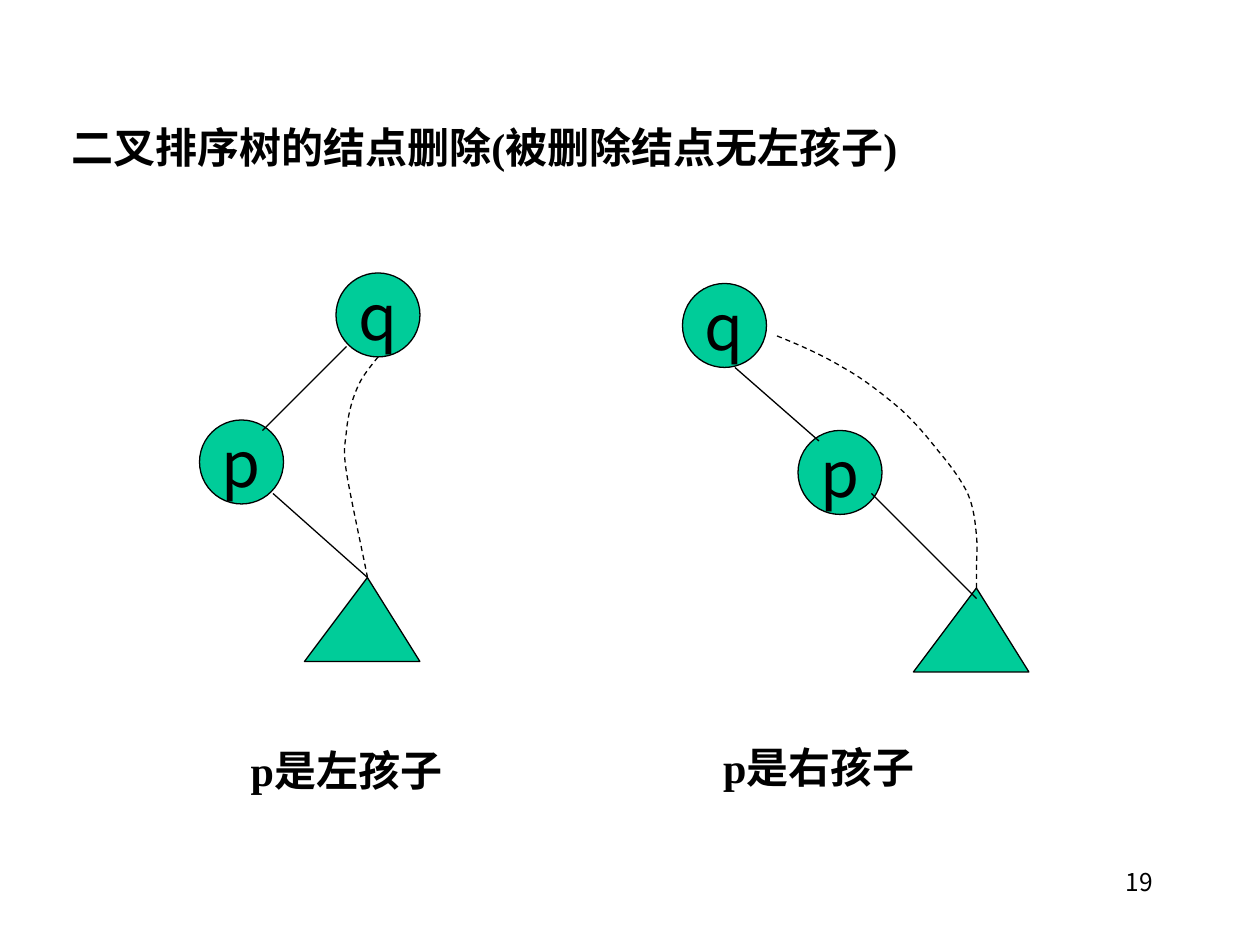
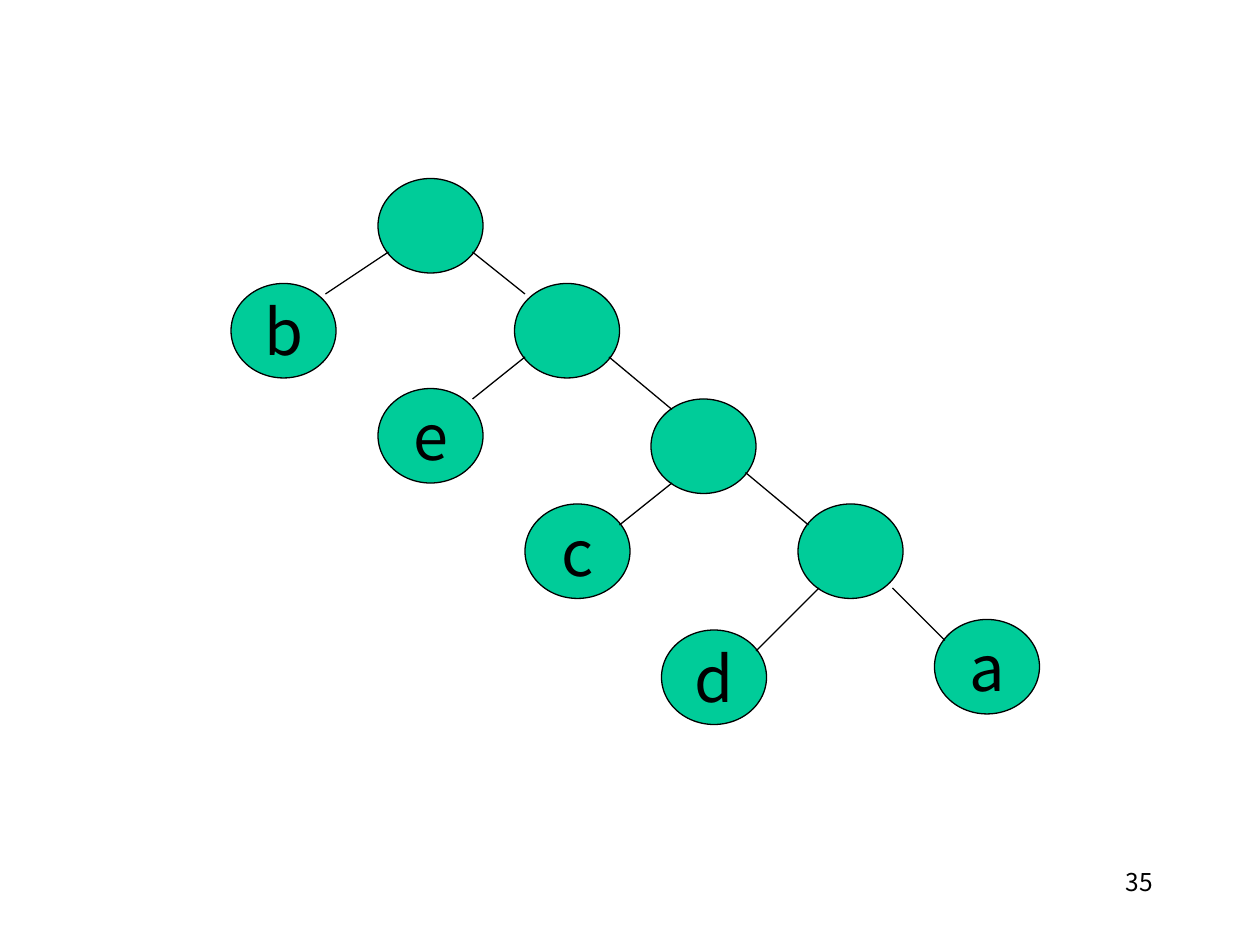
"""Builds two slides of binary search tree diagrams on a grid of twelfths of an inch."""
from lxml import etree
from pptx import Presentation
from pptx.dml.color import RGBColor
from pptx.enum.dml import MSO_LINE
from pptx.enum.shapes import MSO_CONNECTOR, MSO_SHAPE
from pptx.enum.text import MSO_ANCHOR, MSO_AUTO_SIZE, PP_ALIGN
from pptx.oxml.ns import qn
from pptx.util import Cm, Pt

BLACK = RGBColor(0x00, 0x00, 0x00)
GREEN = RGBColor(0x00, 0xCC, 0x99)
HEADING_FONT = "Times New Roman"
BODY_FONT = "Noto Sans CJK JP"
OVAL = MSO_SHAPE.OVAL
STRAIGHT = MSO_CONNECTOR.STRAIGHT
DASH = MSO_LINE.DASH
TOP, MIDDLE = MSO_ANCHOR.TOP, MSO_ANCHOR.MIDDLE
LEFT, CENTER, RIGHT = PP_ALIGN.LEFT, PP_ALIGN.CENTER, PP_ALIGN.RIGHT
FIT_SHAPE = MSO_AUTO_SIZE.SHAPE_TO_FIT_TEXT
TITLE_ONLY, BLANK = 5, 6

DELETION_TREES = [
    {
        "nodes": [("q", 32, 26), ("p", 19, 40)],
        "subtree": (29, 55),
        "edges": [(33, 33, 25, 41), (26, 47, 35, 55)],
        "new_link": [
            (36, 34),
            (35.28, 34.92), (34.44, 35.88), (34, 37),
            (33.48, 38.16), (33.12, 39.72), (33, 41),
            (32.88, 42.36), (32.64, 42.72), (33, 45),
            (33.36, 47.28), (34.68, 53.28), (35, 55),
        ],
        "caption": ("p是左孩子", 22.7, 70.3),
    },
    {
        "nodes": [("q", 65, 27), ("p", 76, 41)],
        "subtree": (87, 56),
        "edges": [(70, 35, 78, 42), (83, 47, 93, 57)],
        "new_link": [
            (74, 32),
            (76.2, 32.88), (78.36, 33.84), (80.28, 35),
            (82.32, 36.12), (84.24, 37.68), (85.8, 39),
            (87.24, 40.32), (88.32, 41.64), (89.4, 43),
            (90.48, 44.28), (91.56, 45.72), (92.16, 47),
            (92.76, 48.36), (92.88, 49.8), (93, 51),
            (93.12, 52.2), (93, 53.16), (93, 54),
            (93, 54.84), (93, 55.44), (93, 56),
        ],
        "caption": ("p是右孩子", 67.7, 70),
    },
]

CODE_TREE_NODES = [
    ("", 62, 38), ("a", 89, 59), ("", 76, 48), ("", 49, 27), ("", 36, 17),
    ("d", 63, 60), ("c", 50, 48), ("e", 36, 37), ("b", 22, 27),
]
CODE_TREE_EDGES = [
    (37, 24, 31, 28), (50, 34, 45, 38), (58, 34, 64, 39), (64, 46, 59, 50),
    (45, 24, 50, 28), (71, 45, 77, 50), (85, 56, 90, 61), (78, 56, 72, 62),
]


def grid(*steps):
    """Turn grid steps into lengths."""
    return [Cm(step * 2.54 / 12) for step in steps]


def format_text(shape, text, size, font_name, alignment, bold=False):
    """Write one paragraph into a shape and format it."""
    shape.text_frame.text = text
    paragraph = shape.text_frame.paragraphs[0]
    paragraph.alignment = alignment
    for run in paragraph.runs:
        run.font.size = Pt(size)
        run.font.name = font_name
        run.font.bold = bold
        run.font.color.rgb = BLACK
        east_asian = etree.SubElement(run.font._element, qn("a:ea"))
        east_asian.set("typeface", BODY_FONT)


def format_heading(shape, text):
    """Give a title or caption the shared bold one-line style."""
    format_text(shape, text, 24, HEADING_FONT, LEFT, bold=True)
    shape.text_frame.word_wrap = False
    shape.text_frame.auto_size = FIT_SHAPE
    shape.text_frame.vertical_anchor = TOP


def set_title(slide, text):
    """Move the title placeholder into place and fill it."""
    title = slide.shapes.title
    title.left, title.top, title.width, title.height = grid(5.6, 11, 83.9, 6)
    format_heading(title, text)


def add_caption(slide, text, left, top):
    """Add a caption below a tree."""
    format_heading(slide.shapes.add_textbox(*grid(left, top, 21.6, 6)), text)


def add_slide_number(slide, number):
    """Add the number at the bottom right."""
    box = slide.shapes.add_textbox(*grid(86, 82, 25, 6))
    box.text_frame.word_wrap = True
    format_text(box, str(number), 14, BODY_FONT, RIGHT)


def style_outline(shape):
    """Apply the shared thin black line."""
    shape.line.color.rgb = BLACK
    shape.line.width = Pt(0.75)


def style_solid(shape):
    """Apply the shared green fill and black line."""
    shape.shadow.inherit = False
    shape.fill.solid()
    shape.fill.fore_color.rgb = GREEN
    style_outline(shape)


def add_node(slide, label, left, top, width, height):
    """Add an oval tree node, with a label if it has one."""
    node = slide.shapes.add_shape(OVAL, *grid(left, top, width, height))
    style_solid(node)
    if label:
        format_text(node, label, 36, BODY_FONT, CENTER)
        node.text_frame.word_wrap = False
        node.text_frame.vertical_anchor = MIDDLE


def add_edge(slide, ends):
    """Add a straight line between two nodes."""
    edge = slide.shapes.add_connector(STRAIGHT, *grid(*ends))
    style_outline(edge)
    etree.SubElement(edge.element.spPr, qn("a:effectLst"))


def add_outline(slide, points, close):
    """Add a freeform through the given grid points."""
    start, *others = [grid(*point) for point in points]
    builder = slide.shapes.build_freeform(*start)
    builder.add_line_segments(others, close=close)
    return builder.convert_to_shape()


def add_subtree(slide, left, top):
    """Add the triangle that stands for a subtree."""
    corners = [(left + 6, top), (left, top + 8), (left + 11, top + 8)]
    style_solid(add_outline(slide, corners, close=True))


def add_dashed_curve(slide, points):
    """Add a dashed curve from a start point and triples of Bezier points."""
    curve = add_outline(slide, points, close=False)
    outline = next(curve.element.iter(qn("a:path")))
    segments = outline.findall(qn("a:lnTo"))
    for first in range(0, len(segments), 3):
        bezier = etree.SubElement(outline, qn("a:cubicBezTo"))
        for segment in segments[first:first + 3]:
            bezier.append(segment[0])
            outline.remove(segment)
    curve.shadow.inherit = False
    curve.fill.background()
    style_outline(curve)
    curve.line.dash_style = DASH


def add_deletion_tree(slide, tree):
    """Add one case of node deletion with its caption."""
    for label, left, top in tree["nodes"]:
        add_node(slide, label, left, top, 8, 8)
    add_subtree(slide, *tree["subtree"])
    for ends in tree["edges"]:
        add_edge(slide, ends)
    add_dashed_curve(slide, tree["new_link"])
    add_caption(slide, *tree["caption"])


def add_slide(presentation, layout, number):
    """Add a numbered slide with the given layout."""
    slide = presentation.slides.add_slide(presentation.slide_layouts[layout])
    add_slide_number(slide, number)
    return slide


def main():
    """Build and save the presentation."""
    presentation = Presentation()
    presentation.slide_width, presentation.slide_height = Cm(25.4), Cm(19.05)

    deletion = add_slide(presentation, TITLE_ONLY, 19)
    set_title(deletion, "二叉排序树的结点删除(被删除结点无左孩子)")
    for tree in DELETION_TREES:
        add_deletion_tree(deletion, tree)

    code_tree = add_slide(presentation, BLANK, 35)
    for label, left, top in CODE_TREE_NODES:
        add_node(code_tree, label, left, top, 10, 9)
    for ends in CODE_TREE_EDGES:
        add_edge(code_tree, ends)

    presentation.save("out.pptx")


if __name__ == "__main__":
    main()
